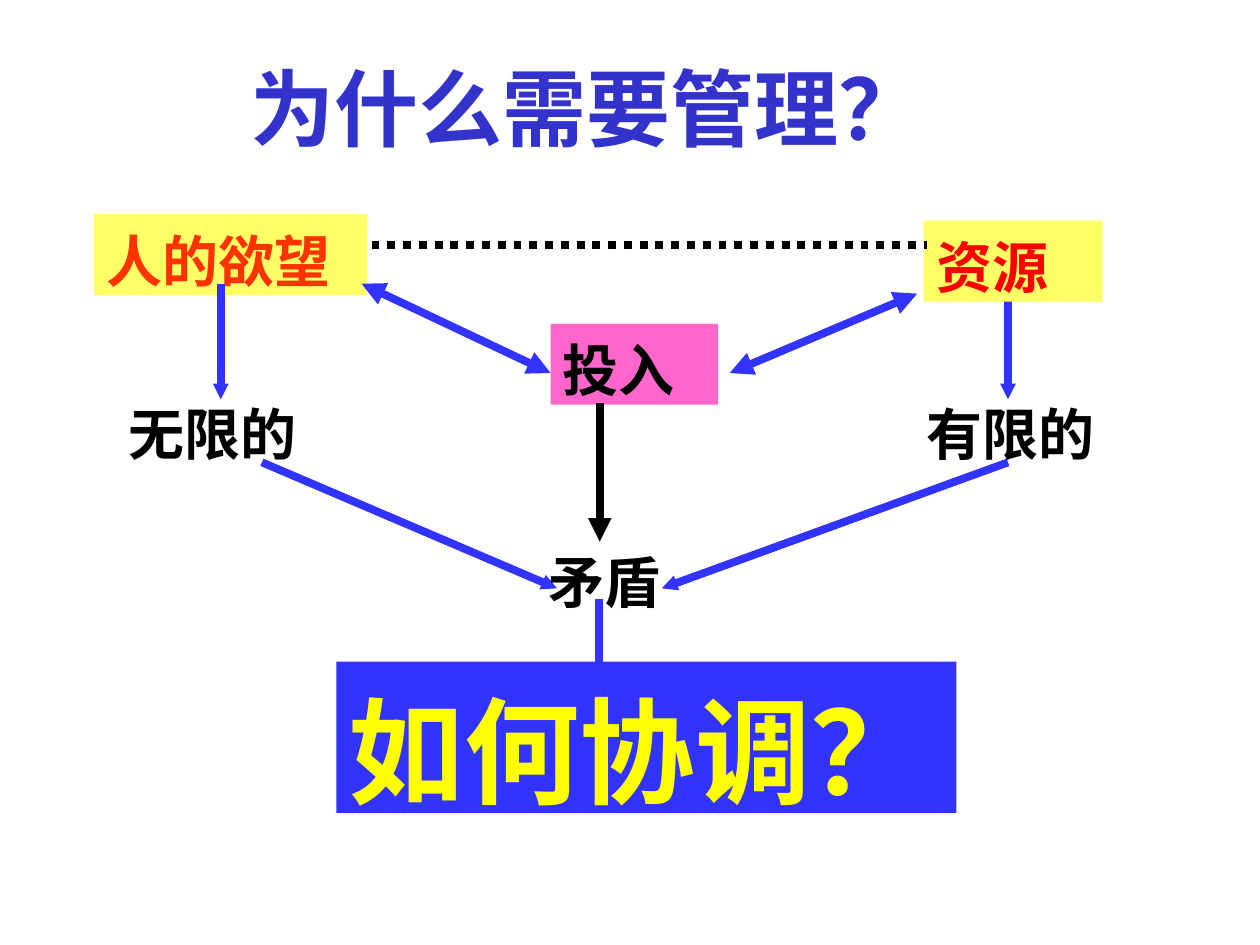
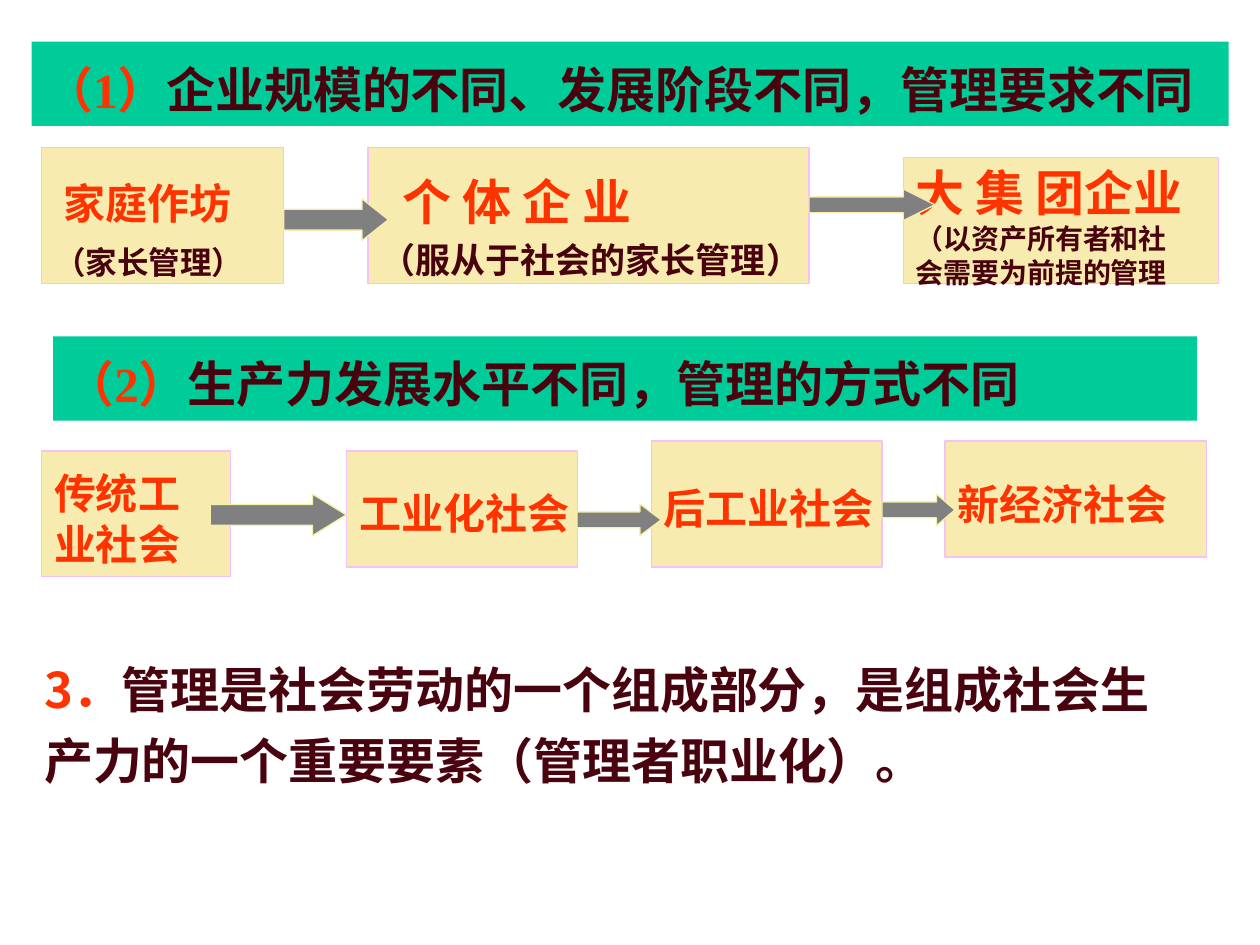
"""Build two slides on why management is needed and how its demands change."""
from lxml import etree
from pptx import Presentation
from pptx.dml.color import RGBColor
from pptx.enum.dml import MSO_LINE
from pptx.enum.shapes import MSO_CONNECTOR, MSO_SHAPE
from pptx.enum.text import MSO_ANCHOR, MSO_AUTO_SIZE, PP_ALIGN
from pptx.oxml.ns import qn
from pptx.util import Cm, Pt

rgb = RGBColor.from_string
SANS, SANS_JP, SERIF = "Noto Sans CJK SC", "Noto Sans CJK JP", "Times New Roman"
BLUE, BLACK, YELLOW, PINK = "3333FF", "000000", "FFFF66", "FF66CC"
ORANGE, MAROON, GREEN = "FF3300", "49030F", "00CC99"
SAND, LILAC, GRAY, CREAM = "F7EBAF", "F6C2F6", "808080", "F4F2A4"


def add_box(page, place, fill=None, line=None, kind=MSO_SHAPE.RECTANGLE):
    """Add a filled shape, or a text box when there is no fill."""
    lengths = [Cm(value) for value in place]
    if fill is None:
        return page.shapes.add_textbox(*lengths)
    box = page.shapes.add_shape(kind, *lengths)
    box.shadow.inherit = False
    box.fill.solid()
    box.fill.fore_color.rgb = rgb(fill)
    if line:
        box.line.color.rgb = rgb(line)
        box.line.width = Pt(0.75)
    else:
        box.line.fill.background()
    return box


def write(box, paragraphs, anchor=MSO_ANCHOR.MIDDLE, spacing=1.0):
    """Fill a box with paragraphs of (indent, [(text, size, colour, font), ...])."""
    frame = box.text_frame
    frame.auto_size = MSO_AUTO_SIZE.NONE
    frame.word_wrap = False
    frame.vertical_anchor = anchor
    frame.margin_left = frame.margin_right = Cm(0.25)
    drop = 0.1 * paragraphs[0][1][0][1]
    frame.margin_top = Pt(3.6 + drop)
    frame.margin_bottom = Pt(max(0, 3.6 - drop))
    for number, (indent, spans) in enumerate(paragraphs):
        para = frame.add_paragraph() if number else frame.paragraphs[0]
        para.alignment = PP_ALIGN.LEFT
        para.line_spacing = Pt(round(1.2 * spacing * spans[0][1], 1))
        para.space_before = Pt(0)
        if indent:
            para._p.get_or_add_pPr().set("marL", str(Cm(indent)))
        for text, size, colour, font in spans:
            span = para.add_run()
            span.text = text
            span.font.size = Pt(size)
            span.font.bold = True
            span.font.color.rgb = rgb(colour)
            span.font.name = font
            east_asian = etree.SubElement(span._r.get_or_add_rPr(), qn("a:ea"))
            east_asian.set("typeface", SANS if font == SERIF else font)


deck = Presentation()
deck.slide_width, deck.slide_height = Cm(25.4), Cm(19.05)

page = deck.slides.add_slide(deck.slide_layouts[5])
title = page.shapes.title
title.left, title.top, title.width, title.height = Cm(4.8), Cm(0.84), Cm(14.05), Cm(2.29)
write(title, [(0, [("为什么需要管理？", 48, "3333CC", SANS)])], MSO_ANCHOR.TOP)

concepts = [
    ("人的欲望", (1.9, 4.32, 5.51, 1.63), YELLOW, ORANGE, 32, SANS),
    ("投入", (11.1, 6.53, 3.38, 1.63), PINK, BLACK, 32, SANS),
    ("资源", (18.62, 4.45, 3.61, 1.63), YELLOW, "FF0000", 32, SANS),
    ("无限的", (2.34, 7.82, 4.88, 1.63), None, BLACK, 32, SANS),
    ("有限的", (18.42, 7.82, 4.24, 1.63), None, BLACK, 32, SANS),
    ("矛盾", (10.8, 10.8, 2.97, 1.63), None, BLACK, 32, SANS),
    ("如何协调？", (6.78, 13.34, 12.5, 3.05), BLUE, "FFFF00", 66, SANS_JP),
]
links = [
    ((4.45, 5.72, 4.45, 8.05), BLUE, ["tailEnd"], "sm"),
    ((20.32, 5.92, 20.32, 8.05), BLUE, ["tailEnd"], "sm"),
    ((5.28, 9.32, 11.23, 11.86), BLUE, ["tailEnd"], "sm"),
    ((20.32, 9.32, 13.34, 11.86), BLUE, ["tailEnd"], "sm"),
    ((12.07, 12.07, 12.07, 14.4), BLUE, ["tailEnd"], "sm"),
    ((18.49, 5.92, 14.71, 7.52), BLUE, ["headEnd", "tailEnd"], "med"),
    ((11.1, 7.52, 7.29, 5.72), BLUE, ["headEnd", "tailEnd"], "med"),
    ((7.49, 4.93, 18.69, 4.93), BLACK, [], "med"),
    ((12.09, 8.13, 12.09, 10.92), BLACK, ["tailEnd"], "med"),
]
layers = [(concepts[:1], links[:7]), (concepts[1:], links[7:])]
for layer_concepts, layer_links in layers:
    for text, place, fill, colour, size, font in layer_concepts:
        box = add_box(page, place, fill)
        write(box, [(0, [(text, size, colour, font)])], MSO_ANCHOR.TOP)
    for ends, colour, heads, head_size in layer_links:
        link = page.shapes.add_connector(MSO_CONNECTOR.STRAIGHT, *[Cm(end) for end in ends])
        link.line.color.rgb = rgb(colour)
        link.line.width = Pt(4.5)
        if not heads:
            link.line.dash_style = MSO_LINE.ROUND_DOT
        for head in heads:
            etree.SubElement(link.line._get_or_add_ln(), qn(f"a:{head}"),
                             type="triangle", w=head_size, len=head_size)
        etree.SubElement(link._element.spPr, qn("a:effectLst"))

page = deck.slides.add_slide(deck.slide_layouts[6])
stages = [
    ((0.84, 2.97, 4.88, 2.74), 1.4,
     [("家庭作坊", 24, ORANGE, 0.2), ("（家长管理）", 18, MAROON, 0)]),
    ((7.42, 2.97, 8.89, 2.74), 1.2,
     [("个 体 企 业", 28, ORANGE, 0.45), ("（服从于社会的家长管理）", 20, MAROON, 0)]),
    ((18.21, 3.18, 6.35, 2.54), 1.0,
     [("大 集 团企业", 28, ORANGE, 0), ("（以资产所有者和社", 16, MAROON, 0),
      ("会需要为前提的管理", 16, MAROON, 0)]),
    ((0.84, 9.09, 3.81, 2.54), 1.0,
     [("传统工", 24, ORANGE, 0), ("业社会", 24, ORANGE, 0)]),
    ((6.99, 9.09, 4.65, 2.34), 1.0, [("工业化社会", 24, ORANGE, 0)]),
    ((13.13, 8.89, 4.65, 2.54), 1.0, [("后工业社会", 24, ORANGE, 0)]),
    ((19.05, 8.89, 5.28, 2.34), 1.0, [("新经济社会", 24, ORANGE, 0)]),
]
for place, spacing, lines in stages:
    box = add_box(page, place, SAND, LILAC)
    write(box, [(indent, [(text, size, colour, SANS)]) for text, size, colour, indent in lines],
          spacing=spacing)

arrows = [
    ((5.72, 4.01, 2.11, 0.84), 0.63, SAND),
    ((16.31, 3.81, 2.54, 0.64), 1, SAND),
    ((4.24, 9.96, 2.74, 0.84), 0.81, CREAM),
    ((11.63, 10.16, 1.7, 0.64), 0.67, CREAM),
    ((17.78, 9.96, 1.47, 0.64), 0.58, CREAM),
]
for place, head_length, outline in arrows:
    arrow = add_box(page, place, GRAY, outline, MSO_SHAPE.RIGHT_ARROW)
    arrow.adjustments[1] = head_length

bands = [
    ((0.64, 0.84, 24.13, 1.7), "（1）", "企业规模的不同、发展阶段不同，管理要求不同"),
    ((1.07, 6.78, 23.06, 1.7), "（2）", "生产力发展水平不同，管理的方式不同"),
]
for place, number, heading in bands:
    write(add_box(page, place, GREEN),
          [(0, [(number, 28, ORANGE, SERIF), (heading, 28, MAROON, SERIF)])])

conclusion = add_box(page, (0.64, 12.9, 23.5, 2.97))
write(conclusion, [
    (0, [("3．", 28, ORANGE, SANS),
         ("管理是社会劳动的一个组成部分，是组成社会生", 28, MAROON, SANS)]),
    (0, [("产力的一个重要要素（管理者职业化）。", 28, MAROON, SANS)]),
], spacing=1.2)

deck.save("out.pptx")
